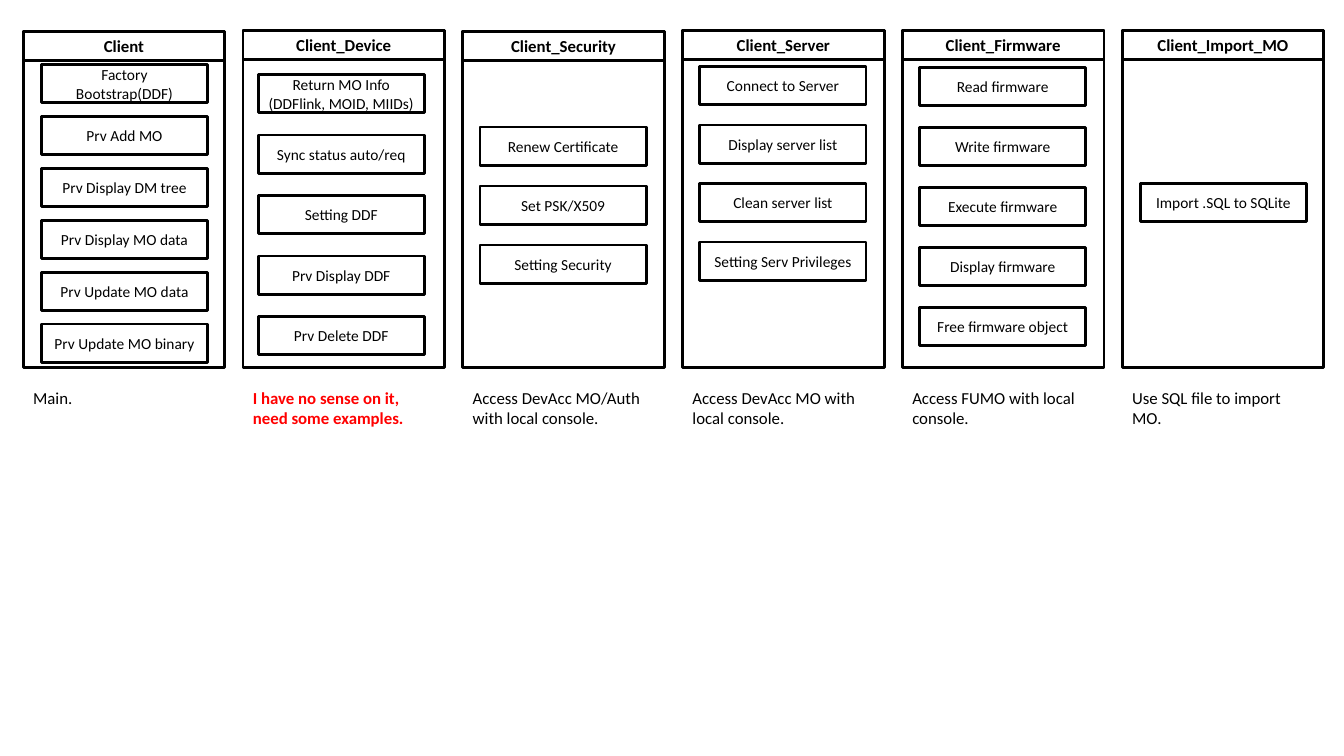
"""Build a slide of six client module panels with their functions and notes."""
from pptx import Presentation
from pptx.dml.color import RGBColor
from pptx.enum.shapes import MSO_SHAPE
from pptx.enum.text import MSO_ANCHOR, PP_ALIGN
from pptx.util import Inches, Pt

RECT = MSO_SHAPE.RECTANGLE
MIDDLE = MSO_ANCHOR.MIDDLE
CENTER = PP_ALIGN.CENTER
BLACK, WHITE, RED = "000000", "FFFFFF", "FF0000"

# name, panel top, box inset, first box top, box pitch, boxes, note, note colour
MODULES = [
    ("Client", 0.31, 0.18, 0.64, 0.515,
     ["Factory Bootstrap(DDF)", "Prv Add MO", "Prv Display DM tree",
      "Prv Display MO data", "Prv Update MO data", "Prv Update MO binary"],
     "Main.", BLACK),
    ("Client_Device", 0.3, 0.15, 0.74, 0.6,
     ["Return MO Info (DDFlink, MOID, MIIDs)", "Sync status auto/req",
      "Setting DDF", "Prv Display DDF", "Prv Delete DDF"],
     "I have no sense on it, need some examples.", RED),
    ("Client_Security", 0.31, 0.17, 1.26, 0.585,
     ["Renew Certificate", "Set PSK/X509", "Setting Security"],
     "Access DevAcc MO/Auth with local console.", BLACK),
    ("Client_Server", 0.3, 0.17, 0.66, 0.58,
     ["Connect to Server", "Display server list", "Clean server list",
      "Setting Serv Privileges"],
     "Access DevAcc MO with local console.", BLACK),
    ("Client_Firmware", 0.3, 0.17, 0.67, 0.595,
     ["Read firmware", "Write firmware", "Execute firmware",
      "Display firmware", "Free firmware object"],
     "Access FUMO with local console.", BLACK),
    ("Client_Import_MO", 0.3, 0.18, 1.82, 0,
     ["Import .SQL to SQLite"], "Use SQL file to import MO.", BLACK),
]
LEFT, PITCH, PANEL_W, PANEL_BOTTOM = 0.23, 2.18, 2, 3.65
HEADER_H, BOX_W, BOX_H = 0.29, 1.65, 0.38
NOTE_TOP, NOTE_H = 3.8, 0.5


def rgb(value):
    return RGBColor.from_string(value)


def write(s, text, size, bold=False, color=BLACK):
    tf = s.text_frame
    tf.word_wrap = True
    p = tf.paragraphs[0]
    p.text = text
    p.font.name, p.font.size, p.font.bold = "Calibri", Pt(size), bold
    p.font.color.rgb = rgb(color)
    return tf, p


def add_box(x, y, w, h, text="", size=11, bold=False):
    s = slide.shapes.add_shape(RECT, Inches(x), Inches(y), Inches(w), Inches(h))
    s.shadow.inherit = False
    s.fill.solid()
    s.fill.fore_color.rgb = rgb(WHITE)
    s.line.color.rgb = rgb(BLACK)
    s.line.width = Pt(2)
    if text:
        tf, p = write(s, text, size, bold)
        tf.vertical_anchor = MIDDLE
        p.alignment = CENTER


prs = Presentation()
prs.slide_width, prs.slide_height = Inches(13.33), Inches(7.5)
slide = prs.slides.add_slide(prs.slide_layouts[6])

for col, (name, top, inset, first, step, boxes, note, color) in enumerate(MODULES):
    x = LEFT + col * PITCH
    add_box(x, top, PANEL_W, PANEL_BOTTOM - top)
    add_box(x, top, PANEL_W, HEADER_H, name, 12, True)
    for row, label in enumerate(boxes):
        add_box(x + inset, first + row * step, BOX_W, BOX_H, label)
    s = slide.shapes.add_textbox(Inches(x), Inches(NOTE_TOP), Inches(PANEL_W), Inches(NOTE_H))
    write(s, note, 12, color == RED, color)

prs.save("out.pptx")
